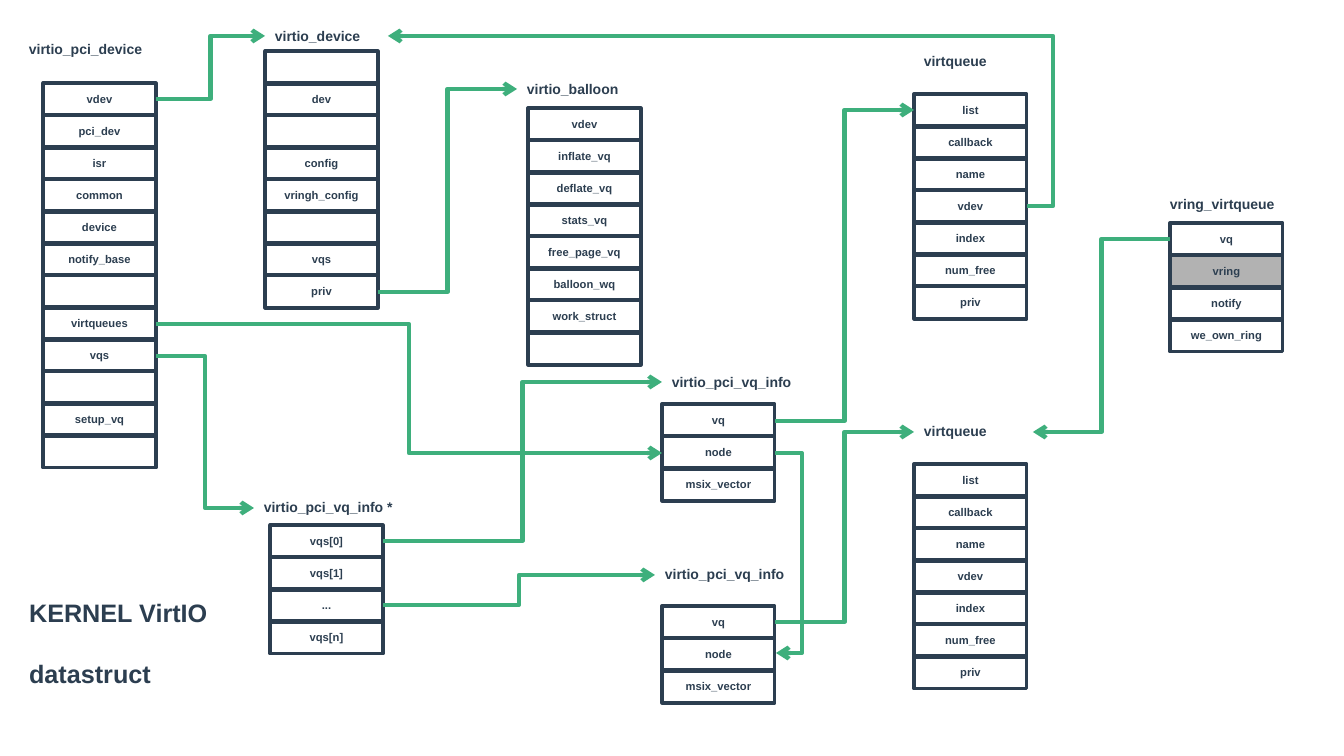
from dataclasses import dataclass
from typing import Optional

from lxml import etree
from pptx import Presentation
from pptx import util as u
from pptx.dml.color import RGBColor
from pptx.enum import shapes, text
from pptx.oxml.ns import qn

PX_PER_INCH = 100.8
ROW_W, ROW_H, ROW_PITCH = 113, 33, 32
LABEL_H = 27
FONT = "Arial"
NAVY = RGBColor(0x2C, 0x3E, 0x50)
GREEN = RGBColor(0x3E, 0xAF, 0x7C)
GRAY = RGBColor(0xB2, 0xB2, 0xB2)


@dataclass(frozen=True)
class Struct:
    name: str
    label_x: int
    label_y: int
    label_w: int
    x: int
    y: int
    fields: tuple[str, ...]
    shaded: str = ""


@dataclass(frozen=True)
class Link:
    x1: int
    y1: int
    x2: int
    y2: int
    bend_x: Optional[int] = None


VIRTQUEUE = ("list", "callback", "name", "vdev", "index", "num_free", "priv")
VQ_INFO = ("vq", "node", "msix_vector")

STRUCTS = (
    Struct("virtio_pci_device", 19, 36, 162, 43, 83,
           ("vdev", "pci_dev", "isr", "common", "device", "notify_base", "",
            "virtqueues", "vqs", "", "setup_vq", "")),
    Struct("virtio_device", 265, 23, 122, 265, 51,
           ("", "dev", "", "config", "vringh_config", "", "vqs", "priv")),
    Struct("virtio_balloon", 517, 76, 280, 528, 108,
           ("vdev", "inflate_vq", "deflate_vq", "stats_vq", "free_page_vq",
            "balloon_wq", "work_struct", "")),
    Struct("virtqueue", 914, 48, 280, 914, 94, VIRTQUEUE),
    Struct("virtio_pci_vq_info *", 254, 494, 172, 270, 525,
           ("vqs[0]", "vqs[1]", "...", "vqs[n]")),
    Struct("virtio_pci_vq_info", 662, 369, 170, 662, 404, VQ_INFO),
    Struct("virtio_pci_vq_info", 655, 561, 170, 662, 606, VQ_INFO),
    Struct("virtqueue", 914, 418, 119, 914, 464, VIRTQUEUE),
    Struct("vring_virtqueue", 1160, 191, 157, 1170, 223,
           ("vq", "vring", "notify", "we_own_ring"), shaded="vring"),
)

LINKS = (
    Link(156, 99, 265, 36),
    Link(156, 356, 254, 508),
    Link(156, 324, 662, 453),
    Link(775, 453, 776, 653, bend_x=802),
    Link(383, 541, 662, 382),
    Link(383, 605, 655, 575),
    Link(775, 421, 914, 110),
    Link(775, 622, 914, 432),
    Link(378, 292, 517, 89),
    Link(1027, 206, 388, 36, bend_x=1053),
    Link(1170, 239, 1033, 432),
)


def px(value: int) -> u.Emu:
    return u.Emu(round(value * 914400 / PX_PER_INCH))


def box(x: int, y: int, w: int, h: int) -> tuple[u.Emu, ...]:
    return px(x), px(y), px(w), px(h)


def style(p, size: int, align=text.PP_ALIGN.LEFT) -> None:
    p.alignment = align
    p.font.name = FONT
    p.font.size = u.Pt(size)
    p.font.bold = True
    p.font.color.rgb = NAVY


def draw_struct(s, struct: Struct) -> None:
    group = s.shapes.add_group_shape()
    label = group.shapes.add_textbox(
        *box(struct.label_x, struct.label_y, struct.label_w, LABEL_H))
    tf = label.text_frame
    tf.word_wrap = True
    tf.auto_size = text.MSO_AUTO_SIZE.SHAPE_TO_FIT_TEXT
    tf.text = struct.name
    style(tf.paragraphs[0], 10)

    for i, field in enumerate(struct.fields):
        sp = group.shapes.add_shape(
            shapes.MSO_SHAPE.RECTANGLE,
            *box(struct.x, struct.y + i * ROW_PITCH, ROW_W, ROW_H))
        sp.shadow.inherit = False
        if field and field == struct.shaded:
            sp.fill.solid()
            sp.fill.fore_color.rgb = GRAY
        else:
            sp.fill.background()
        sp.line.color.rgb = NAVY
        sp.line.width = u.Pt(2.25)
        if field:
            tf = sp.text_frame
            tf.vertical_anchor = text.MSO_ANCHOR.MIDDLE
            tf.text = field
            style(tf.paragraphs[0], 8, text.PP_ALIGN.CENTER)


def draw_link(s, link: Link) -> None:
    cxn = s.shapes.add_connector(
        shapes.MSO_CONNECTOR.ELBOW,
        px(link.x1), px(link.y1), px(link.x2), px(link.y2))
    cxn.line.color.rgb = GREEN
    cxn.line.width = u.Pt(3)
    sp_pr = cxn._element.spPr
    etree.SubElement(sp_pr.find(qn("a:ln")), qn("a:tailEnd"), type="arrow")
    etree.SubElement(sp_pr, qn("a:effectLst"))
    if link.bend_x is not None:
        ratio = (link.bend_x - link.x1) / (link.x2 - link.x1)
        guides = sp_pr.find(qn("a:prstGeom")).find(qn("a:avLst"))
        etree.SubElement(guides, qn("a:gd"), name="adj1",
                         fmla=f"val {round(ratio * 100000)}")


def draw_title(s) -> None:
    title = s.shapes.title
    title.left, title.top, title.width, title.height = box(19, 592, 223, 102)
    tf = title.text_frame
    tf.word_wrap = False
    tf.auto_size = text.MSO_AUTO_SIZE.NONE
    tf.vertical_anchor = text.MSO_ANCHOR.TOP
    tf.text = "KERNEL VirtIO\ndatastruct"
    for p in tf.paragraphs:
        style(p, 18)
        p.line_spacing = 1.0
        p.space_before = u.Pt(0)
    tf.paragraphs[1].space_before = u.Pt(22)


prs = Presentation()
prs.slide_width, prs.slide_height = px(1344), px(756)
s = prs.slides.add_slide(prs.slide_layouts[5])
draw_title(s)
for struct in STRUCTS:
    draw_struct(s, struct)
for link in LINKS:
    draw_link(s, link)
prs.save("out.pptx")
